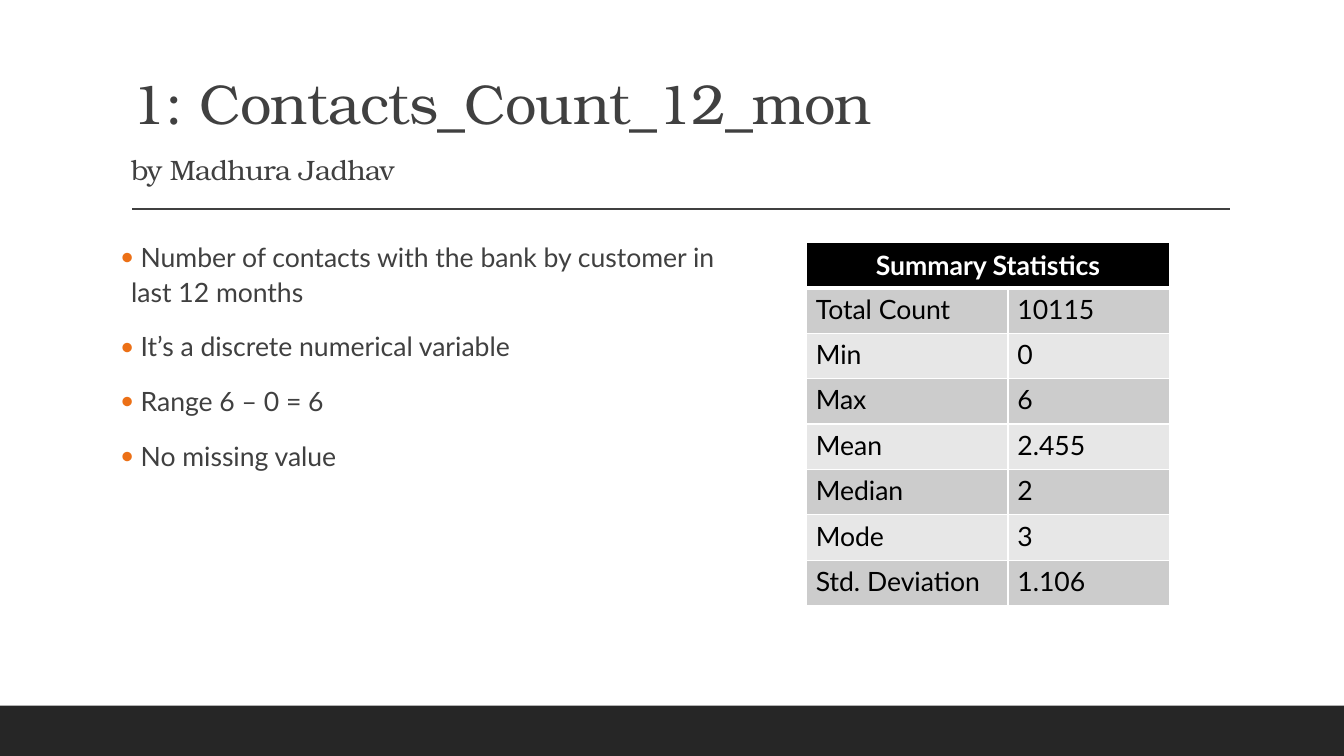
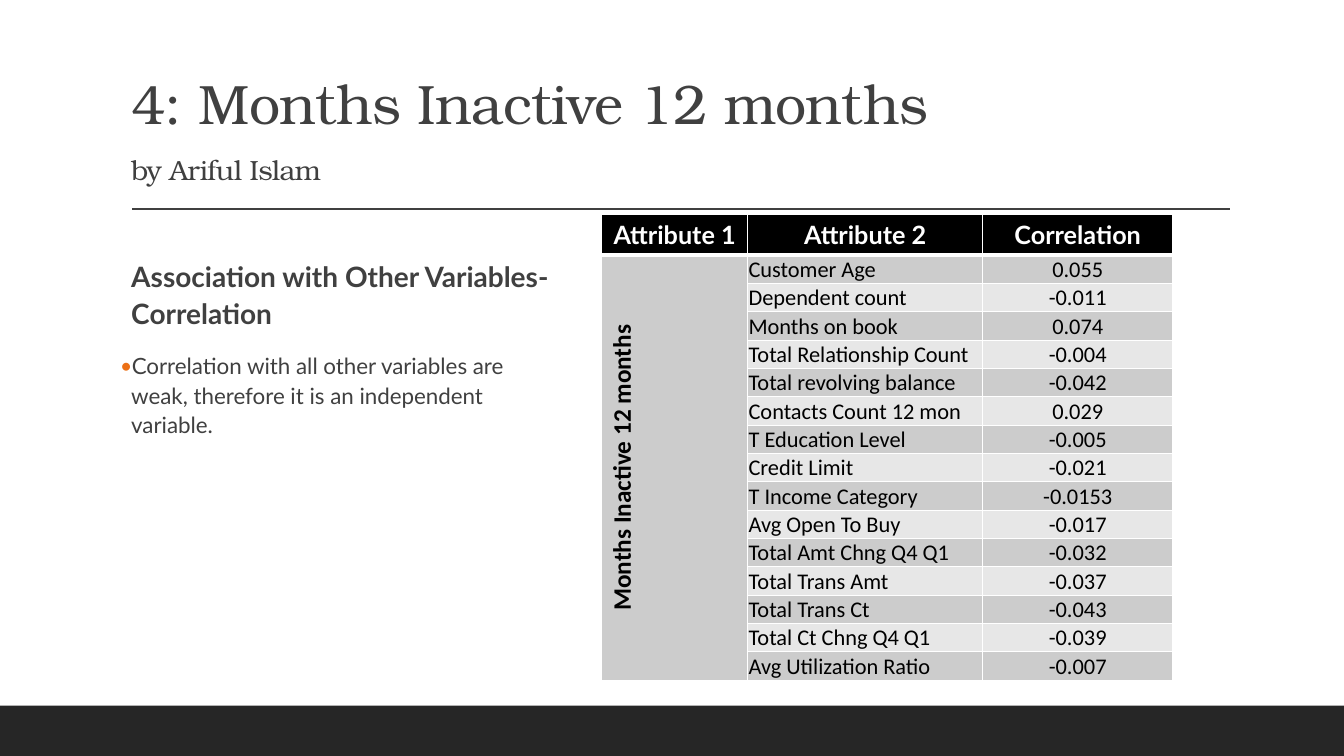
from lxml.etree import SubElement
from pptx import Presentation
from pptx.dml.color import RGBColor
from pptx.enum.shapes import MSO_CONNECTOR as Connector, MSO_SHAPE as Shape
from pptx.enum.text import MSO_ANCHOR as Anchor, PP_ALIGN as Align
from pptx.oxml import parse_xml
from pptx.oxml.ns import nsdecls, qn
from pptx.util import Emu, Pt

EMU_PER_PX = 9525
PAGE_WIDTH, PAGE_HEIGHT = 1280, 720

INK, BAND, ACCENT = "404040", "262626", "EC7016"
WHITE, BLACK = "FFFFFF", "000000"
ROW_FILLS = ("CCCCCC", "E7E7E7")
TITLE_FONT, BODY_FONT, DATA_FONT = "TeX Gyre Bonum", "Lato", "Calibri"

TITLE_BOX = (115, 30, 1056, 152)

SUMMARY_POINTS = [
    " Number of contacts with the bank by customer in last 12 months",
    " It’s a discrete numerical variable",
    " Range 6 – 0 = 6",
    " No missing value",
]
SUMMARY_ROWS = [
    ("Total Count", "10115"), ("Min", "0"), ("Max", "6"), ("Mean", "2.455"),
    ("Median", "2"), ("Mode", "3"), ("Std. Deviation", "1.106"),
]
CORRELATION_ROWS = [
    ("Customer Age", "0.055"), ("Dependent count", "-0.011"),
    ("Months on book", "0.074"), ("Total Relationship Count", "-0.004"),
    ("Total revolving balance", "-0.042"), ("Contacts Count 12 mon", "0.029"),
    ("T Education Level", "-0.005"), ("Credit Limit", "-0.021"),
    ("T Income Category", "-0.0153"), ("Avg Open To Buy", "-0.017"),
    ("Total Amt Chng Q4 Q1", "-0.032"), ("Total Trans Amt", "-0.037"),
    ("Total Trans Ct", "-0.043"), ("Total Ct Chng Q4 Q1", "-0.039"),
    ("Avg Utilization Ratio", "-0.007"),
]


def px(length):
    return Emu(length * EMU_PER_PX)


def color(code):
    return RGBColor.from_string(code)


def style_font(font, name, size, code, bold=False):
    font.name, font.size, font.bold = name, Pt(size), bold
    font.color.rgb = color(code)


def add_text_box(page, box, side_inset):
    frame = page.shapes.add_textbox(*map(px, box)).text_frame
    frame.word_wrap = True
    frame.margin_left = frame.margin_right = px(side_inset)
    frame.margin_top = frame.margin_bottom = px(5)
    return frame


def add_page(deck, title, author, title_size=40):
    """Add a page with the shared band, rule and two-line title."""
    page = deck.slides.add_slide(deck.slide_layouts[6])

    # Bottom band
    band = page.shapes.add_shape(
        Shape.RECTANGLE, *map(px, (0, 672, PAGE_WIDTH, 48)))
    band.shadow.inherit = False
    band.fill.solid()
    band.fill.fore_color.rgb = color(BAND)
    band.line.fill.background()

    # Rule under the title
    rule = page.shapes.add_connector(
        Connector.STRAIGHT, *map(px, (126, 199, 1171, 199)))
    rule.line.color.rgb = color(INK)
    rule.line.width = Pt(1)
    SubElement(rule._element.spPr, qn("a:effectLst"))

    # Title and author
    frame = add_text_box(page, TITLE_BOX, 10)
    frame.vertical_anchor = Anchor.BOTTOM
    para = frame.paragraphs[0]
    para.text = f"{title}\vby {author}"
    para.line_spacing = 1.5
    for span, size in zip(para.runs, (title_size, title_size / 2)):
        style_font(span.font, TITLE_FONT, size, INK)
        span.font._element.set("spc", "-50")
    return page


def add_bullet(para):
    properties = para._p.get_or_add_pPr()
    properties.set("marL", str(px(10)))
    properties.set("indent", str(-px(10)))
    tint = SubElement(properties, qn("a:buClr"))
    SubElement(tint, qn("a:srgbClr")).set("val", ACCENT)
    SubElement(properties, qn("a:buFont")).set("typeface", DATA_FONT)
    SubElement(properties, qn("a:buChar")).set("char", "•")


def add_points(page, box, points, size, heading=None):
    """Place bulleted points, with an optional bold heading above them."""
    frame = add_text_box(page, box, 0)
    lines = ([heading] if heading else []) + points
    for index, line in enumerate(lines):
        para = frame.paragraphs[0] if index == 0 else frame.add_paragraph()
        para.text = line
        is_heading = line == heading
        if is_heading:
            para._p.get_or_add_pPr().set("marL", str(px(10)))
        else:
            add_bullet(para)
        para.line_spacing = 1.1
        para.space_before = Pt(12 if index else 0)
        para.space_after = Pt(2)
        style_font(para.runs[0].font, BODY_FONT, 20 if is_heading else size,
                   INK, is_heading)


def paint_cell(cell, fill, bottom=1):
    cell.fill.solid()
    cell.fill.fore_color.rgb = color(fill)
    properties = cell._tc.get_or_add_tcPr()
    for index, side in enumerate("LRTB"):
        width = Pt(bottom if side == "B" else 1)
        properties.insert(index, parse_xml(
            f'<a:ln{side} {nsdecls("a")} w="{width}"><a:solidFill>'
            f'<a:srgbClr val="{WHITE}"/></a:solidFill></a:ln{side}>'))


def write_cell(cell, text, size, code, bold=False, font=BODY_FONT,
               align=Align.LEFT, anchor=Anchor.MIDDLE, insets=(9, 5, 9, 5)):
    (cell.margin_left, cell.margin_top,
     cell.margin_right, cell.margin_bottom) = map(px, insets)
    cell.vertical_anchor = anchor
    para = cell.text_frame.paragraphs[0]
    para.text = text
    para.alignment = align
    style_font(para.runs[0].font, font, size, code, bold)


def add_striped_table(page, left, top, widths, header_height, body_height,
                      body_rows):
    """Place an empty table with a black header and striped rows."""
    table = page.shapes.add_table(
        body_rows + 1, len(widths), px(left), px(top),
        px(sum(widths)), px(header_height + body_height)).table
    for column, width in zip(table.columns, widths):
        column.width = px(width)
    for index, row in enumerate(table.rows):
        row.height = Emu(px(body_height) // body_rows) if index else px(header_height)
        for cell in row.cells:
            if index:
                paint_cell(cell, ROW_FILLS[(index - 1) % 2])
            else:
                paint_cell(cell, BLACK, bottom=3)
    return table


def add_summary_table(page, left, top):
    table = add_striped_table(page, left, top, (192, 154), 43, 303,
                              len(SUMMARY_ROWS))
    table.cell(0, 0).merge(table.cell(0, 1))
    write_cell(table.cell(0, 0), "Summary Statistics", 19, WHITE, True,
               align=Align.CENTER)
    for row, values in enumerate(SUMMARY_ROWS, 1):
        for column, value in enumerate(values):
            write_cell(table.cell(row, column), value, 19, BLACK,
                       anchor=Anchor.TOP)


def add_correlation_table(page, left, top):
    count = len(CORRELATION_ROWS)
    table = add_striped_table(page, left, top, (139, 224, 181), 39, 405, count)
    for column, name in enumerate(("Attribute 1", "Attribute 2", "Correlation")):
        write_cell(table.cell(0, column), name, 18, WHITE, True,
                   align=Align.CENTER)

    # Turned label beside all rows
    side = table.cell(1, 0)
    side.merge(table.cell(count, 0))
    write_cell(side, "Months Inactive 12 months", 18, BLACK, True, DATA_FONT,
               Align.CENTER, insets=(10, 5, 10, 5))
    side._tc.get_or_add_tcPr().set("vert", "vert270")

    for row, values in enumerate(CORRELATION_ROWS, 1):
        for column, value in enumerate(values, 1):
            write_cell(table.cell(row, column), value, 16, BLACK,
                       font=DATA_FONT,
                       align=Align.LEFT if column == 1 else Align.CENTER,
                       insets=(1, 1, 1, 0))


def main():
    deck = Presentation()
    deck.slide_width, deck.slide_height = px(PAGE_WIDTH), px(PAGE_HEIGHT)

    # Contact counts
    page = add_page(deck, "1: Contacts_Count_12_mon", "Madhura Jadhav")
    add_points(page, (115, 221, 576, 384), SUMMARY_POINTS, 19)
    add_summary_table(page, 768, 231)

    # Inactive months
    page = add_page(deck, "4: Months Inactive 12 months", "Ariful Islam", 39.6)
    add_points(page, (115, 239, 410, 376),
               ["Correlation with all other variables are weak, "
                "therefore it is an independent variable."],
               16, "Association with Other Variables- Correlation")
    add_correlation_table(page, 573, 204)

    deck.save("out.pptx")


if __name__ == "__main__":
    main()
